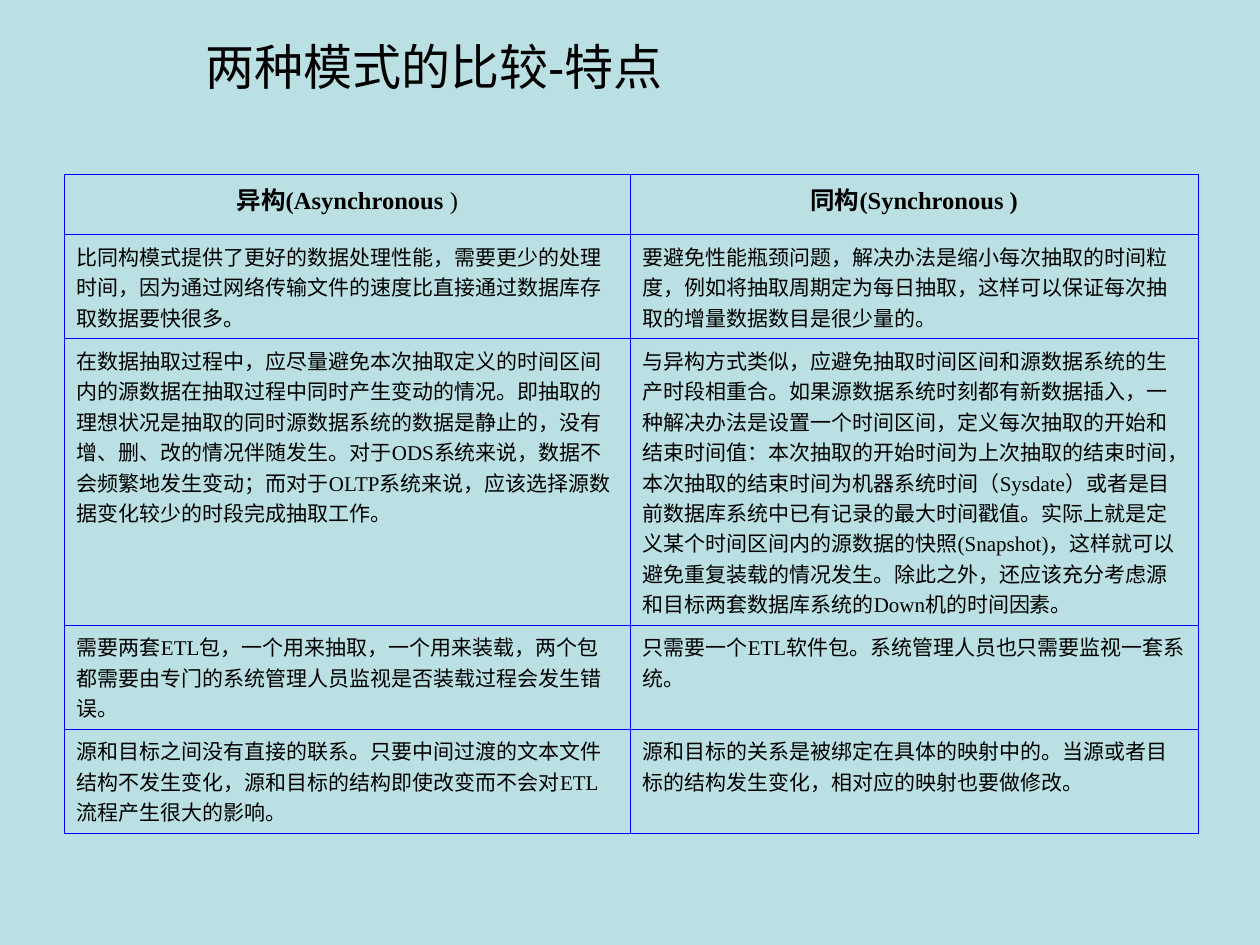
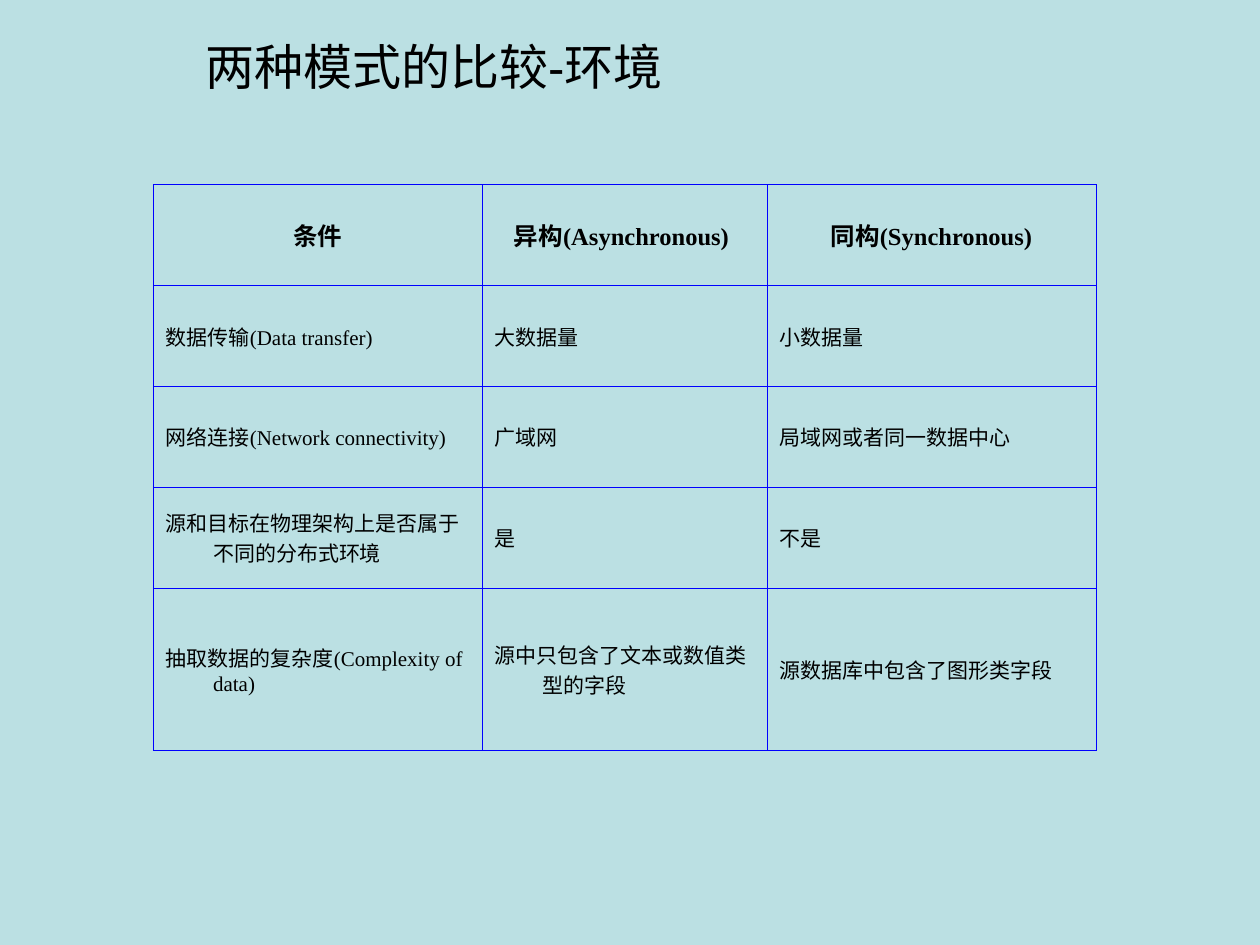
from lxml import etree
from pptx import Presentation
from pptx.dml.color import RGBColor
from pptx.enum.text import MSO_ANCHOR, PP_ALIGN
from pptx.oxml.ns import qn
from pptx.util import Pt

LEFT, CENTER = PP_ALIGN.LEFT, PP_ALIGN.CENTER
TOP, MIDDLE = MSO_ANCHOR.TOP, MSO_ANCHOR.MIDDLE

BACKGROUND, TEXT, BORDER = "BBE0E3", "000000", "0000FF"
TITLE_FONT, TABLE_FONT = "Arial", "Times New Roman"
TITLE_SIZE, HEADER_SIZE, BODY_SIZE = 28, 14, 12
TITLE_BOX = (110.2, 15.1, 572.4, 45.4)
BORDER_WIDTH = 0.45
TITLE_ONLY = 5

# A cell is a string, or a tuple whose first part is bold and second part plain.
SLIDES = [
    {
        "title": "两种模式的比较-特点",
        "origin": (36.8, 99.8),
        "columns": [323.3, 324.7],
        "rows": [34.2, 55.4, 137.5, 55.4, 55.4],
        "anchor": TOP,
        "hanging": 0,
        "cells": [
            [("异构(Asynchronous ", ")"), "同构(Synchronous )"],
            ["比同构模式提供了更好的数据处理性能，需要更少的处理时间，因为通过网络传输文件的速度"
             "比直接通过数据库存取数据要快很多。",
             "要避免性能瓶颈问题，解决办法是缩小每次抽取的时间粒度，例如将抽取周期定为每日抽取，"
             "这样可以保证每次抽取的增量数据数目是很少量的。"],
            ["在数据抽取过程中，应尽量避免本次抽取定义的时间区间内的源数据在抽取过程中同时产生变动的情况。"
             "即抽取的理想状况是抽取的同时源数据系统的数据是静止的，没有增、删、改的情况伴随发生。"
             "对于ODS系统来说，数据不会频繁地发生变动；而对于OLTP系统来说，"
             "应该选择源数据变化较少的时段完成抽取工作。",
             "与异构方式类似，应避免抽取时间区间和源数据系统的生产时段相重合。"
             "如果源数据系统时刻都有新数据插入，一种解决办法是设置一个时间区间，"
             "定义每次抽取的开始和结束时间值：本次抽取的开始时间为上次抽取的结束时间，"
             "本次抽取的结束时间为机器系统时间（Sysdate）或者是目前数据库系统中已有记录的最大时间戳值。"
             "实际上就是定义某个时间区间内的源数据的快照(Snapshot)，这样就可以避免重复装载的情况发生。"
             "除此之外，还应该充分考虑源和目标两套数据库系统的Down机的时间因素。"],
            ["需要两套ETL包，一个用来抽取，一个用来装载，两个包都需要由专门的系统管理人员监视"
             "是否装载过程会发生错误。",
             "只需要一个ETL软件包。系统管理人员也只需要监视一套系统。"],
            ["源和目标之间没有直接的联系。只要中间过渡的文本文件结构不发生变化，"
             "源和目标的结构即使改变而不会对ETL流程产生很大的影响。",
             "源和目标的关系是被绑定在具体的映射中的。当源或者目标的结构发生变化，"
             "相对应的映射也要做修改。"],
        ],
    },
    {
        "title": "两种模式的比较-环境",
        "origin": (87.6, 105.6),
        "columns": [188, 162.7, 188],
        "rows": [57.6, 57.6, 57.6, 57.6, 92.9],
        "anchor": MIDDLE,
        "hanging": 27,
        "cells": [
            ["条件", "异构(Asynchronous) ", "同构(Synchronous)"],
            ["数据传输(Data transfer)", "大数据量", "小数据量"],
            ["网络连接(Network connectivity)", "广域网", "局域网或者同一数据中心"],
            ["源和目标在物理架构上是否属于不同的分布式环境", "是", "不是"],
            ["抽取数据的复杂度(Complexity of data)", "源中只包含了文本或数值类型的字段",
             "源数据库中包含了图形类字段"],
        ],
    },
]


def rgb(color):
    return RGBColor.from_string(color)


def format_run(r, font, size, bold=False):
    r.font.name = font
    r.font.size = Pt(size)
    r.font.bold = bold
    r.font.color.rgb = rgb(TEXT)


def place(shape, box):
    shape.left, shape.top, shape.width, shape.height = map(Pt, box)


def add_borders(cell):
    tc_pr = cell._tc.get_or_add_tcPr()
    for side in ("lnL", "lnR", "lnT", "lnB"):
        ln = etree.SubElement(tc_pr, qn(f"a:{side}"), w=str(int(Pt(BORDER_WIDTH))))
        fill = etree.SubElement(ln, qn("a:solidFill"))
        etree.SubElement(fill, qn("a:srgbClr"), val=BORDER)


def fill_cell(cell, content, header, anchor, hanging):
    add_borders(cell)
    cell.fill.background()
    cell.vertical_anchor = anchor
    p = cell.text_frame.paragraphs[0]
    p.alignment = CENTER if header else LEFT
    if hanging:
        p_pr = p._p.get_or_add_pPr()
        p_pr.set("marL", str(Pt(hanging)))
        p_pr.set("indent", str(-Pt(hanging)))
    parts = content if isinstance(content, tuple) else (content,)
    for i, part in enumerate(parts):
        r = p.add_run()
        r.text = part
        format_run(r, TABLE_FONT, HEADER_SIZE if header else BODY_SIZE, header and i == 0)


def add_comparison(s, data):
    columns, rows = data["columns"], data["rows"]
    frame = s.shapes.add_table(len(rows), len(columns), 0, 0, 0, 0)
    place(frame, (*data["origin"], sum(columns), sum(rows)))
    table = frame.table
    table.first_row = table.horz_banding = False
    for column, width in zip(table.columns, columns):
        column.width = Pt(width)
    for i, (row, height) in enumerate(zip(table.rows, rows)):
        row.height = Pt(height)
        for cell, content in zip(row.cells, data["cells"][i]):
            fill_cell(cell, content, i == 0, data["anchor"], data["hanging"])


def add_title(s, text):
    p = s.shapes.title.text_frame.paragraphs[0]
    p.text = text
    p.alignment = LEFT
    format_run(p.runs[0], TITLE_FONT, TITLE_SIZE)


def main():
    prs = Presentation()
    prs.slide_width, prs.slide_height = Pt(720), Pt(540)
    background = prs.slide_master.background.fill
    background.solid()
    background.fore_color.rgb = rgb(BACKGROUND)
    layout = prs.slide_layouts[TITLE_ONLY]
    place(layout.placeholders[0], TITLE_BOX)
    for data in SLIDES:
        s = prs.slides.add_slide(layout)
        add_title(s, data["title"])
        add_comparison(s, data)
    prs.save("out.pptx")


if __name__ == "__main__":
    main()
